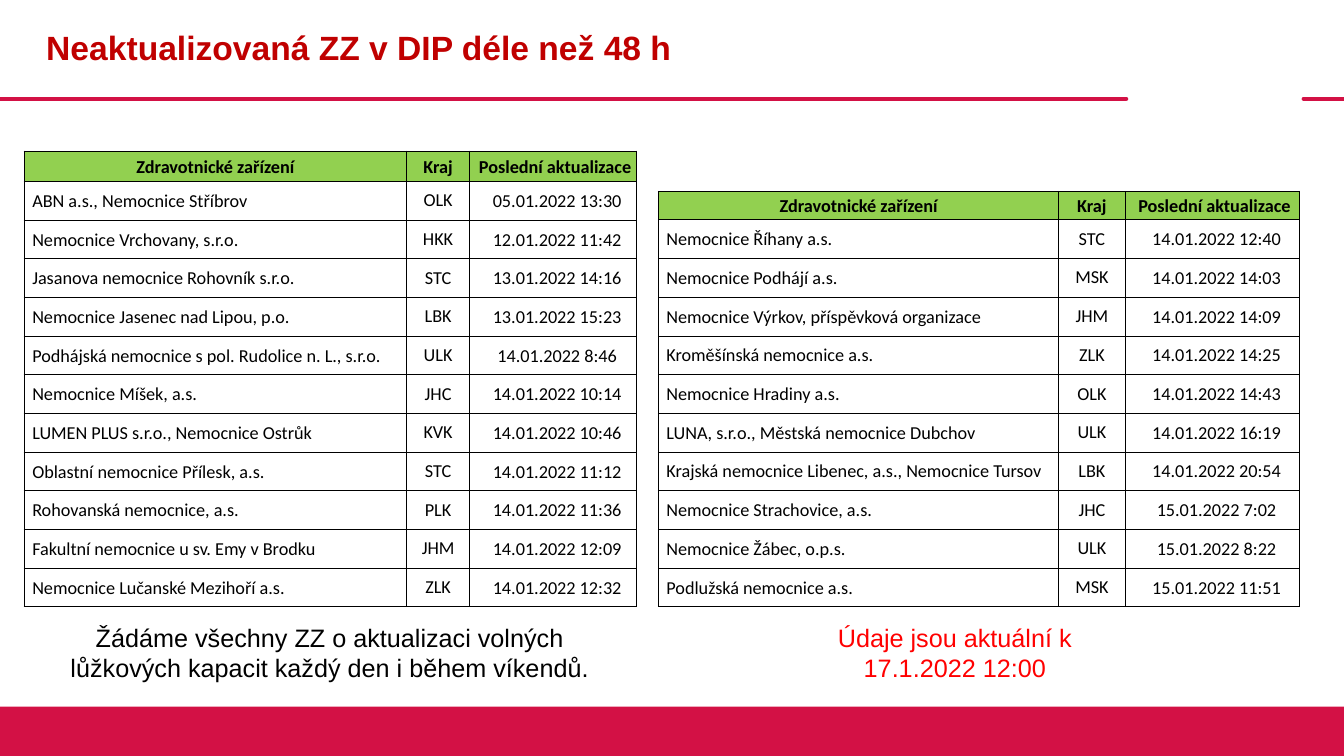
from dataclasses import dataclass

from lxml import etree
from pptx import Presentation
from pptx import util as u
from pptx.dml.color import RGBColor
from pptx.enum import shapes, text
from pptx.oxml import ns


@dataclass(frozen=True)
class Theme:
    crimson: str = "D31145"
    title: str = "C00000"
    alert: str = "FF0000"
    ink: str = "000000"
    header: str = "92D050"
    paper: str = "FFFFFF"
    heading_font: str = "Arial"
    table_font: str = "Calibri"
    title_size: int = 24
    note_size: int = 18
    table_size: int = 13


THEME = Theme()
CENTER = text.PP_ALIGN.CENTER
LEFT = text.PP_ALIGN.LEFT
HEADINGS = ("Zdravotnické zařízení", "Kraj", "Poslední aktualizace")
HEADER_INSETS = ((0.01, 0.01, 0.01, 0), (0.01, 0.01, 0.01, 0), (0.05, 0.01, 0.01, 0))
BODY_INSETS = ((0.08, 0.01, 0.01, 0), (0.01, 0.08, 0.01, 0.08), (0.09, 0.01, 0.01, 0))
BODY_ALIGNMENTS = (LEFT, CENTER, CENTER)
TABLE_BOTTOM = 6.02

EARLIER_UPDATES = [
    ("ABN a.s., Nemocnice Stříbrov", "OLK", "05.01.2022 13:30"),
    ("Nemocnice Vrchovany, s.r.o.", "HKK", "12.01.2022 11:42"),
    ("Jasanova nemocnice Rohovník s.r.o.", "STC", "13.01.2022 14:16"),
    ("Nemocnice Jasenec nad Lipou, p.o.", "LBK", "13.01.2022 15:23"),
    ("Podhájská nemocnice s pol. Rudolice n. L., s.r.o.", "ULK", "14.01.2022 8:46"),
    ("Nemocnice Míšek, a.s.", "JHC", "14.01.2022 10:14"),
    ("LUMEN PLUS s.r.o., Nemocnice Ostrůk", "KVK", "14.01.2022 10:46"),
    ("Oblastní nemocnice Přílesk, a.s.", "STC", "14.01.2022 11:12"),
    ("Rohovanská nemocnice, a.s.", "PLK", "14.01.2022 11:36"),
    ("Fakultní nemocnice u sv. Emy v Brodku", "JHM", "14.01.2022 12:09"),
    ("Nemocnice Lučanské Mezihoří a.s.", "ZLK", "14.01.2022 12:32"),
]
LATER_UPDATES = [
    ("Nemocnice Říhany a.s.", "STC", "14.01.2022 12:40"),
    ("Nemocnice Podhájí a.s.", "MSK", "14.01.2022 14:03"),
    ("Nemocnice Výrkov, příspěvková organizace", "JHM", "14.01.2022 14:09"),
    ("Kroměšínská nemocnice a.s.", "ZLK", "14.01.2022 14:25"),
    ("Nemocnice Hradiny a.s.", "OLK", "14.01.2022 14:43"),
    ("LUNA, s.r.o., Městská nemocnice Dubchov", "ULK", "14.01.2022 16:19"),
    ("Krajská nemocnice Libenec, a.s., Nemocnice Tursov", "LBK", "14.01.2022 20:54"),
    ("Nemocnice Strachovice, a.s.", "JHC", "15.01.2022 7:02"),
    ("Nemocnice Žábec, o.p.s.", "ULK", "15.01.2022 8:22"),
    ("Podlužská nemocnice a.s.", "MSK", "15.01.2022 11:51"),
]


def add_run(paragraph, words, font, size, color, bold=False):
    run = paragraph.add_run()
    run.text = words
    run.font.name = font
    run.font.size = u.Pt(size)
    run.font.bold = bold
    run.font.color.rgb = RGBColor.from_string(color)


def add_rule(slide, start, end):
    y = u.Inches(0.98)
    line = slide.shapes.add_connector(
        shapes.MSO_CONNECTOR.STRAIGHT, u.Inches(start), y, u.Inches(end), y)
    line.line.color.rgb = RGBColor.from_string(THEME.crimson)
    line.line.width = u.Pt(3)
    line.line._get_or_add_ln().set("cap", "rnd")
    etree.SubElement(line._element.spPr, ns.qn("a:effectLst"))


def add_footer_band(slide):
    band = slide.shapes.add_shape(
        shapes.MSO_SHAPE.RECTANGLE, u.Inches(0), u.Inches(7.01), u.Inches(13.33), u.Inches(0.49))
    band.shadow.inherit = False
    band.fill.solid()
    band.fill.fore_color.rgb = RGBColor.from_string(THEME.crimson)
    band.line.fill.background()


def add_text(slide, box, words, size, color, alignment=CENTER, bold=False,
             anchor=text.MSO_ANCHOR.TOP):
    shape = slide.shapes.add_textbox(*map(u.Inches, box))
    frame = shape.text_frame
    frame.word_wrap = True
    frame.vertical_anchor = anchor
    paragraph = frame.paragraphs[0]
    paragraph.alignment = alignment
    add_run(paragraph, words, THEME.heading_font, size, color, bold)
    return paragraph


def set_borders(cell, widths):
    properties = cell._tc.get_or_add_tcPr()
    for index, (side, width) in enumerate(zip("LRTB", widths)):
        border = etree.Element(ns.qn(f"a:ln{side}"), w=str(u.Pt(width)))
        fill = etree.SubElement(border, ns.qn("a:solidFill"))
        etree.SubElement(fill, ns.qn("a:srgbClr"), val=THEME.ink)
        properties.insert(index, border)


def fill_cell(cell, words, insets, alignment, color, bold, borders):
    cell.fill.solid()
    cell.fill.fore_color.rgb = RGBColor.from_string(color)
    cell.vertical_anchor = text.MSO_ANCHOR.MIDDLE
    cell.margin_left, cell.margin_top, cell.margin_right, cell.margin_bottom = map(u.Inches, insets)
    paragraph = cell.text_frame.paragraphs[0]
    paragraph.alignment = alignment
    add_run(paragraph, words, THEME.table_font, THEME.table_size, THEME.ink, bold)
    set_borders(cell, borders)


def add_facility_table(slide, left, top, column_widths, header_height, facilities):
    height = TABLE_BOTTOM - top
    table = slide.shapes.add_table(
        len(facilities) + 1, len(HEADINGS), u.Inches(left), u.Inches(top),
        u.Inches(sum(column_widths)), u.Inches(height)).table
    table.horz_banding = False
    for column, width in zip(table.columns, column_widths):
        column.width = u.Inches(width)
    for row in table.rows:
        row.height = u.Inches((height - header_height) / len(facilities))
    table.rows[0].height = u.Inches(header_height)
    for column, heading in enumerate(HEADINGS):
        fill_cell(table.cell(0, column), heading, HEADER_INSETS[column], CENTER,
                  THEME.header, True, (1, 1, 1, 1))
    for row, facility in enumerate(facilities, 1):
        borders = (1, 1, 1 if row == 1 else 0.5, 0.5)
        for column, words in enumerate(facility):
            fill_cell(table.cell(row, column), words, BODY_INSETS[column],
                      BODY_ALIGNMENTS[column], THEME.paper, False, borders)


def main():
    presentation = Presentation()
    presentation.slide_width = u.Inches(13.33)
    presentation.slide_height = u.Inches(7.5)
    slide = presentation.slides.add_slide(presentation.slide_layouts[6])
    add_rule(slide, 0, 11.17)
    add_rule(slide, 12.93, 13.33)
    add_footer_band(slide)
    title = add_text(slide, (0.36, 0, 10.81, 0.98), "Neaktualizovaná ZZ v DIP déle než 48 h",
                     THEME.title_size, THEME.title, LEFT, True, text.MSO_ANCHOR.MIDDLE)
    title.line_spacing = 0.9
    add_text(slide, (8.03, 6.12, 2.88, 0.71), "Údaje jsou aktuální k 17.1.2022 12:00",
             THEME.note_size, THEME.alert)
    add_text(slide, (0.41, 6.12, 5.72, 0.71),
             "Žádáme všechny ZZ o aktualizaci volných lůžkových kapacit každý den i během víkendů.",
             THEME.note_size, THEME.ink)
    add_facility_table(slide, 0.24, 1.5, (3.79, 0.63, 1.65), 0.3, EARLIER_UPDATES)
    add_facility_table(slide, 6.53, 1.9, (3.97, 0.66, 1.73), 0.28, LATER_UPDATES)
    presentation.save("out.pptx")


if __name__ == "__main__":
    main()
